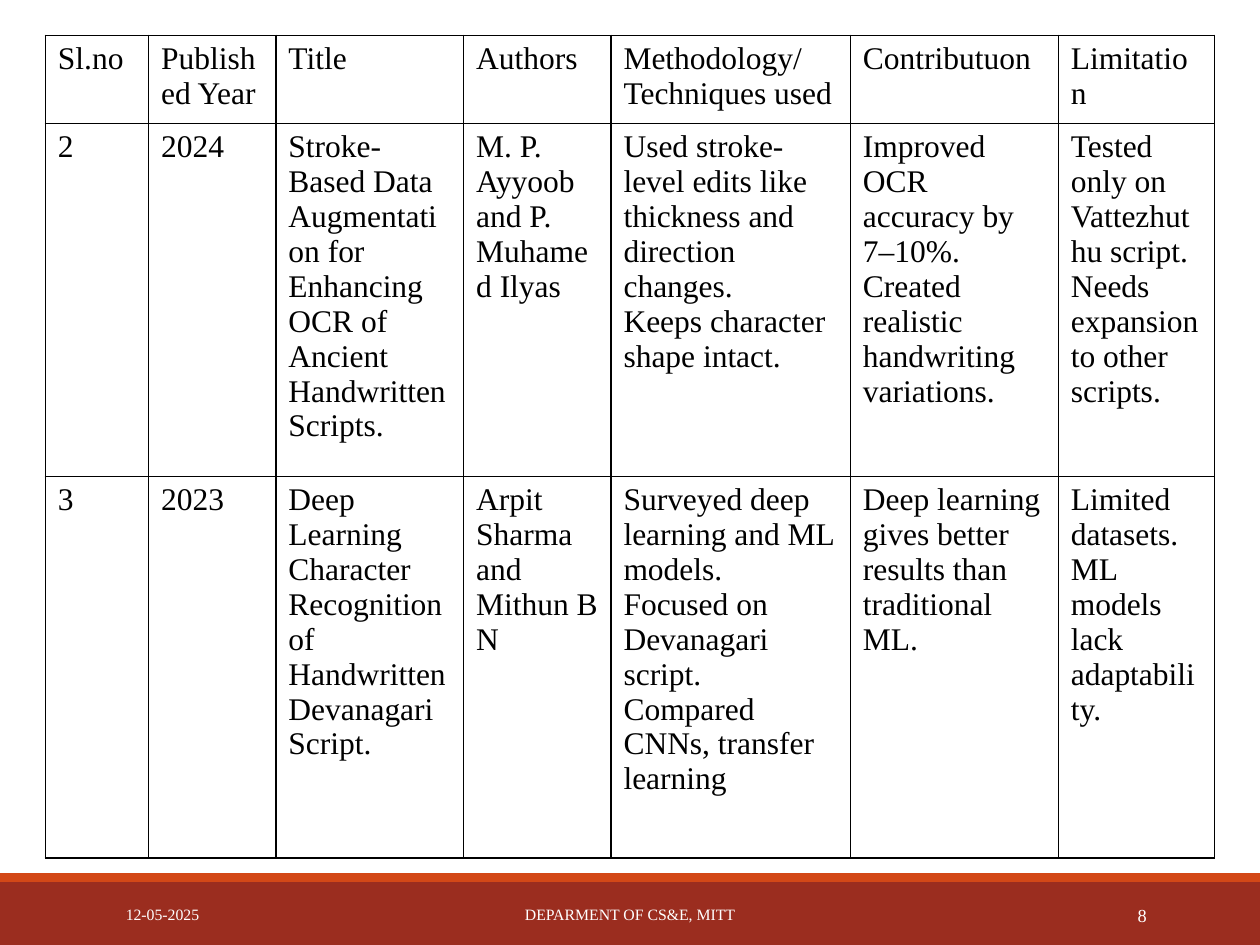
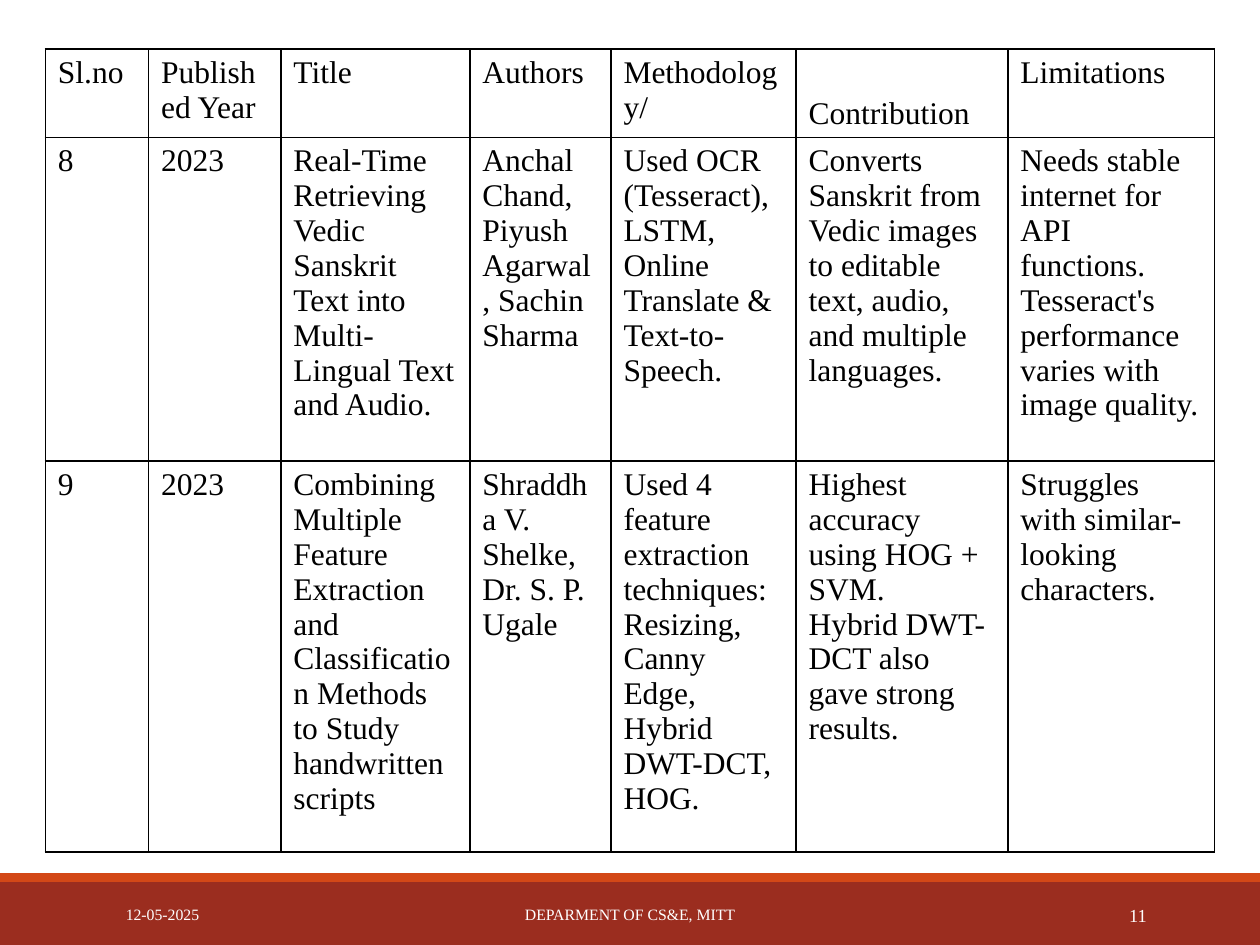
from dataclasses import dataclass

from lxml import etree
from pptx import Presentation
from pptx.dml.color import RGBColor
from pptx.enum.shapes import MSO_SHAPE
from pptx.enum.text import MSO_ANCHOR, PP_ALIGN
from pptx.oxml.ns import qn
from pptx.util import Pt

RECTANGLE = MSO_SHAPE.RECTANGLE
TOP, MIDDLE, BOTTOM = MSO_ANCHOR.TOP, MSO_ANCHOR.MIDDLE, MSO_ANCHOR.BOTTOM
LEFT, CENTER, RIGHT = PP_ALIGN.LEFT, PP_ALIGN.CENTER, PP_ALIGN.RIGHT

FONT = "Times New Roman"
BLACK, WHITE = "000000", "FFFFFF"
BAND_RED, BAND_ORANGE = "9B2D1F", "D34817"
SLIDE_WIDTH, SLIDE_HEIGHT = 720, 540
TABLE_LEFT = 25.92
BLANK_LAYOUT = 6


@dataclass(frozen=True)
class Band:
    top: float
    height: float
    color: str


@dataclass(frozen=True)
class FooterItem:
    text: str
    left: float
    width: float
    size: float
    align: PP_ALIGN


@dataclass(frozen=True)
class PaperTable:
    page: str
    top: float
    column_widths: tuple[float, ...]
    row_heights: tuple[float, ...]
    rows: tuple[tuple[str, ...], ...]
    bottom_headings: tuple[str, ...] = ()


BANDS = (Band(504, 36, BAND_RED), Band(499, 5, BAND_ORANGE))

PAPER_TABLES = (
    PaperTable(
        page="8",
        top=20.16,
        column_widths=(59.04, 72.72, 107.28, 84.24, 136.8, 118.8, 89.28),
        row_heights=(46.8, 192.24, 218.16),
        rows=(
            ("Sl.no", "Published Year", "Title", "Authors",
             "Methodology/\nTechniques used", "Contributuon", "Limitation"),
            ("2", "2024",
             "Stroke-Based Data Augmentation for Enhancing OCR of Ancient "
             "Handwritten Scripts.",
             "M. P. Ayyoob and P. Muhamed Ilyas",
             "Used stroke-level edits like thickness and direction changes.\v"
             "Keeps character shape intact.",
             "Improved OCR accuracy by 7–10%.\v"
             "Created realistic handwriting variations.",
             "Tested only on Vattezhuthu script.\v"
             "Needs expansion to other scripts."),
            ("3", "2023",
             "Deep Learning Character Recognition of Handwritten Devanagari Script.",
             "Arpit Sharma and Mithun B N",
             "Surveyed deep learning and ML models.\v"
             "Focused on Devanagari script.\v"
             "Compared CNNs, transfer learning",
             "Deep learning gives better results than traditional ML.",
             "Limited datasets.\vML models lack adaptability."),
        ),
    ),
    PaperTable(
        page="11",
        top=28.08,
        column_widths=(59.04, 75.6, 108, 80.64, 105.84, 120.96, 118.08),
        row_heights=(48.96, 185.04, 221.76),
        rows=(
            ("Sl.no", "Published Year", "Title", "Authors",
             "Methodology/", "Contribution", "Limitations"),
            ("8", "2023",
             "Real-Time Retrieving Vedic Sanskrit Text into Multi-Lingual Text "
             "and Audio.",
             "Anchal Chand, Piyush Agarwal, Sachin Sharma",
             "Used OCR (Tesseract), LSTM, Online Translate & Text-to-Speech.",
             "Converts Sanskrit from Vedic images to editable text, audio, and "
             "multiple languages.",
             "Needs stable internet for API functions.\v"
             "Tesseract's performance varies with image quality."),
            ("9", "2023",
             "Combining Multiple Feature Extraction and Classification Methods "
             "to Study handwritten scripts",
             "Shraddha V. Shelke, Dr. S. P. Ugale",
             "Used 4 feature extraction techniques: Resizing, Canny Edge, "
             "Hybrid DWT-DCT, HOG.",
             "Highest accuracy using HOG + SVM.\v"
             "Hybrid DWT-DCT also gave strong results.",
             "Struggles with similar-looking characters."),
        ),
        bottom_headings=("Contribution",),
    ),
)


def rgb(color: str) -> RGBColor:
    return RGBColor.from_string(color)


def write_text(text_frame, text: str, *, size: float, color: str,
               align: PP_ALIGN = LEFT) -> None:
    text_frame.word_wrap = True
    text_frame.text = text
    for paragraph in text_frame.paragraphs:
        paragraph.alignment = align
        for run in paragraph.runs:
            run.font.name = FONT
            run.font.size = Pt(size)
            run.font.color.rgb = rgb(color)


def draw_band(slide, band: Band) -> None:
    shape = slide.shapes.add_shape(
        RECTANGLE, 0, Pt(band.top), Pt(SLIDE_WIDTH), Pt(band.height))
    shape.shadow.inherit = False
    shape.fill.solid()
    shape.fill.fore_color.rgb = rgb(band.color)
    shape.line.fill.background()


def draw_footer_item(slide, item: FooterItem) -> None:
    text_box = slide.shapes.add_textbox(
        Pt(item.left), Pt(508.32), Pt(item.width), Pt(28.8))
    text_box.text_frame.vertical_anchor = MIDDLE
    write_text(text_box.text_frame, item.text, size=item.size, color=WHITE,
               align=item.align)


def draw_footer(slide, page: str) -> None:
    for band in BANDS:
        draw_band(slide, band)
    for item in (
        FooterItem("12-05-2025", 64.8, 146.16, 9, LEFT),
        FooterItem("DEPARMENT OF CS&E, MITT", 217.44, 285.12, 9, CENTER),
        FooterItem(page, 584.64, 77.76, 10.5, RIGHT),
    ):
        draw_footer_item(slide, item)


def add_borders(cell, color: str, width: float) -> None:
    properties = cell._tc.get_or_add_tcPr()
    for side in ("a:lnL", "a:lnR", "a:lnT", "a:lnB"):
        line = etree.SubElement(properties, qn(side), w=str(Pt(width)))
        fill = etree.SubElement(line, qn("a:solidFill"))
        etree.SubElement(fill, qn("a:srgbClr"), val=color)


def draw_paper_table(slide, paper_table: PaperTable) -> None:
    widths, heights = paper_table.column_widths, paper_table.row_heights
    table = slide.shapes.add_table(
        len(heights), len(widths), Pt(TABLE_LEFT), Pt(paper_table.top),
        Pt(sum(widths)), Pt(sum(heights))).table
    table.first_row = False
    table.horz_banding = False
    for column, width in zip(table.columns, widths):
        column.width = Pt(width)
    for row, height, texts in zip(table.rows, heights, paper_table.rows):
        row.height = Pt(height)
        for cell, text in zip(row.cells, texts):
            add_borders(cell, BLACK, 1)
            cell.fill.background()
            cell.vertical_anchor = (
                BOTTOM if text in paper_table.bottom_headings else TOP)
            write_text(cell.text_frame, text, size=18, color=BLACK)


def main() -> None:
    presentation = Presentation()
    presentation.slide_width = Pt(SLIDE_WIDTH)
    presentation.slide_height = Pt(SLIDE_HEIGHT)
    for paper_table in PAPER_TABLES:
        slide = presentation.slides.add_slide(
            presentation.slide_layouts[BLANK_LAYOUT])
        draw_footer(slide, paper_table.page)
        draw_paper_table(slide, paper_table)
    presentation.save("out.pptx")


if __name__ == "__main__":
    main()
